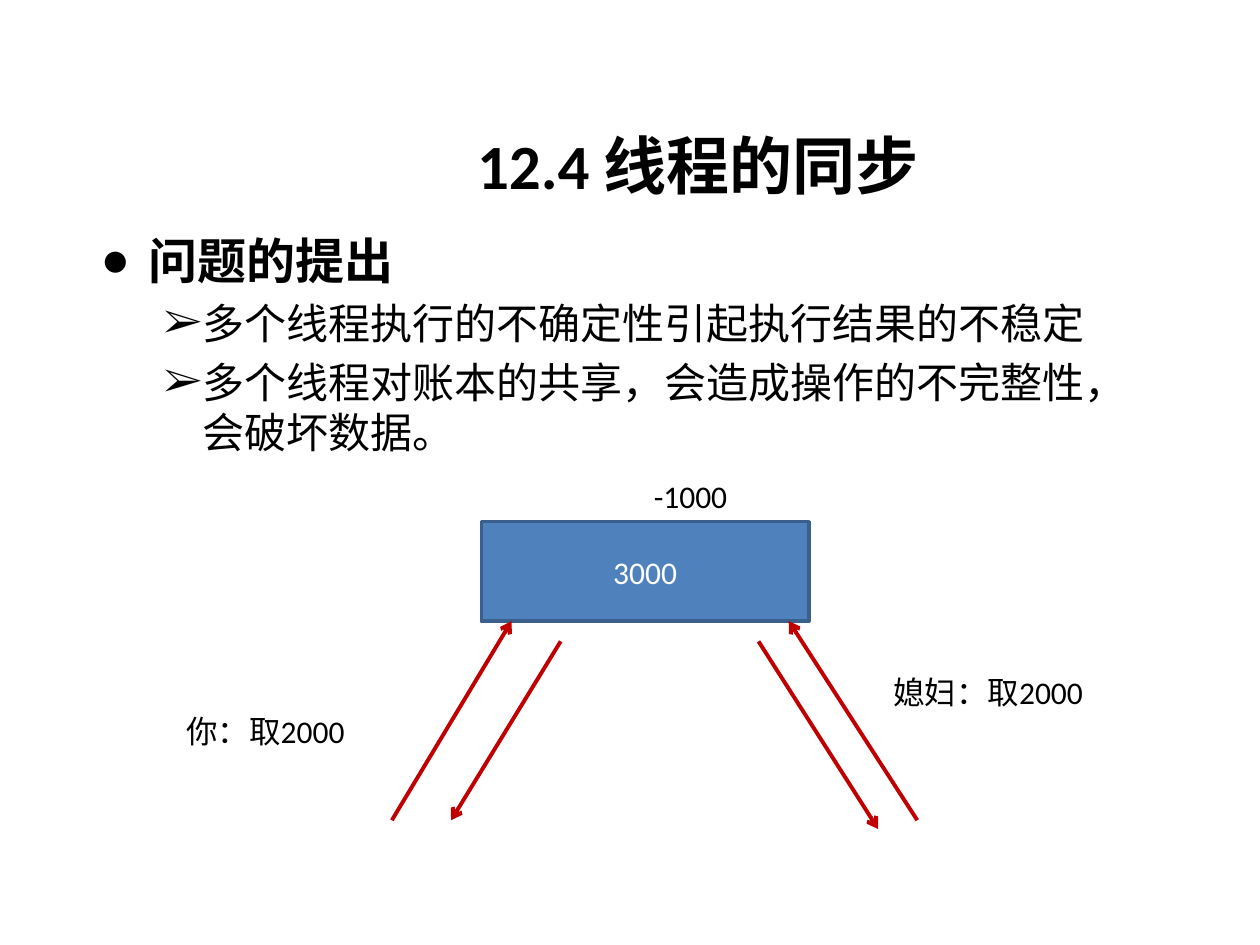
from lxml import etree
from pptx import Presentation
from pptx import util as u
from pptx.dml.color import RGBColor
from pptx.enum import shapes, text
from pptx.oxml.ns import qn

BLACK, WHITE, BLUE, NAVY, RED = "000000", "FFFFFF", "4F81BD", "3A5F8C", "C00000"


def colour(value):
    return RGBColor.from_string(value)


def inches(*lengths):
    return [u.Inches(length) for length in lengths]


def add_span(para, words, size, ink=BLACK, bold=False, font="Calibri"):
    span = para.add_run()
    span.text = words
    span.font.size = u.Pt(size)
    span.font.name = font
    span.font.bold = bold
    span.font.color.rgb = colour(ink)


def set_bullet(para, symbol, left, hanging):
    props = para._p.get_or_add_pPr()
    props.set("marL", str(u.Inches(left)))
    props.set("indent", str(-u.Inches(hanging)))
    etree.SubElement(props, qn("a:buFont")).set("typeface", "Times New Roman")
    etree.SubElement(props, qn("a:buChar")).set("char", symbol)


def place_title(page, box, words):
    title = page.shapes.title
    title.left, title.top, title.width, title.height = inches(*box)
    title.text_frame.vertical_anchor = text.MSO_ANCHOR.MIDDLE
    para = title.text_frame.paragraphs[0]
    para.alignment = text.PP_ALIGN.CENTER
    add_span(para, words, 36, bold=True)


def add_body(page, box, heading, points):
    frame = page.shapes.add_textbox(*inches(*box)).text_frame
    frame.word_wrap = True
    rows = [(heading, 28, True, "●", 0.38, 0.38)]
    rows += [(point, 24, False, "➢", 0.81, 0.31) for point in points]
    for index, (words, size, bold, symbol, left, hanging) in enumerate(rows):
        para = frame.add_paragraph() if index else frame.paragraphs[0]
        para.level = 1 if index else 0
        para.space_before = u.Pt(size * 0.2)
        set_bullet(para, symbol, left, hanging)
        add_span(para, words, size, bold=bold, font="Times New Roman")


def add_label(page, box, words):
    frame = page.shapes.add_textbox(*inches(*box)).text_frame
    frame.word_wrap = True
    add_span(frame.paragraphs[0], words, 18)


def add_account(page, box, amount):
    account = page.shapes.add_shape(shapes.MSO_SHAPE.RECTANGLE, *inches(*box))
    account.shadow.inherit = False
    account.fill.solid()
    account.fill.fore_color.rgb = colour(BLUE)
    account.line.color.rgb = colour(NAVY)
    account.line.width = u.Pt(2)
    account.text_frame.vertical_anchor = text.MSO_ANCHOR.MIDDLE
    para = account.text_frame.paragraphs[0]
    para.alignment = text.PP_ALIGN.CENTER
    add_span(para, amount, 18, WHITE)


def add_arrow(page, start, end):
    arrow = page.shapes.add_connector(
        shapes.MSO_CONNECTOR.STRAIGHT, *inches(*start, *end))
    arrow.line.color.rgb = colour(RED)
    arrow.line.width = u.Pt(2.25)
    etree.SubElement(arrow.line._get_or_add_ln(), qn("a:tailEnd")).set("type", "arrow")
    etree.SubElement(arrow._element.spPr, qn("a:effectLst"))


def add_withdrawals(page, box):
    left, top, width, height = box
    bottom = top + height

    # Shared account and its balance after both withdrawals
    add_account(page, box, "3000")
    add_label(page, (left + 1.27, top - 0.4, 0.91, 0.4), "-1000")

    # Requests going up to the account, cash coming back down
    add_arrow(page, (left - 0.71, bottom + 1.58), (left + 0.24, bottom))
    add_arrow(page, (left + 3.46, bottom + 1.58), (left + 2.44, bottom))
    add_arrow(page, (left + 0.63, bottom + 0.16), (left - 0.24, bottom + 1.58))
    add_arrow(page, (left + 2.2, bottom + 0.16), (left + 3.15, bottom + 1.65))

    # The two people withdrawing
    add_label(page, (left - 2.44, bottom + 0.67, 1.73, 0.4), "你：取2000")
    add_label(page, (left + 3.17, bottom + 0.36, 2.44, 0.4), "媳妇：取2000")


def main():
    deck = Presentation()
    deck.slide_width, deck.slide_height = inches(10, 7.5)
    page = deck.slides.add_slide(deck.slide_layouts.get_by_name("Title Only"))
    place_title(page, (2.8, 0.84, 5.48, 0.93), "12.4 线程的同步")
    add_body(page, (0.7, 1.78, 8.59, 2.2), "问题的提出", [
        "多个线程执行的不确定性引起执行结果的不稳定",
        "多个线程对账本的共享，会造成操作的不完整性，会破坏数据。",
    ])
    add_withdrawals(page, (3.82, 4.14, 2.6, 0.79))
    deck.save("out.pptx")


if __name__ == "__main__":
    main()
